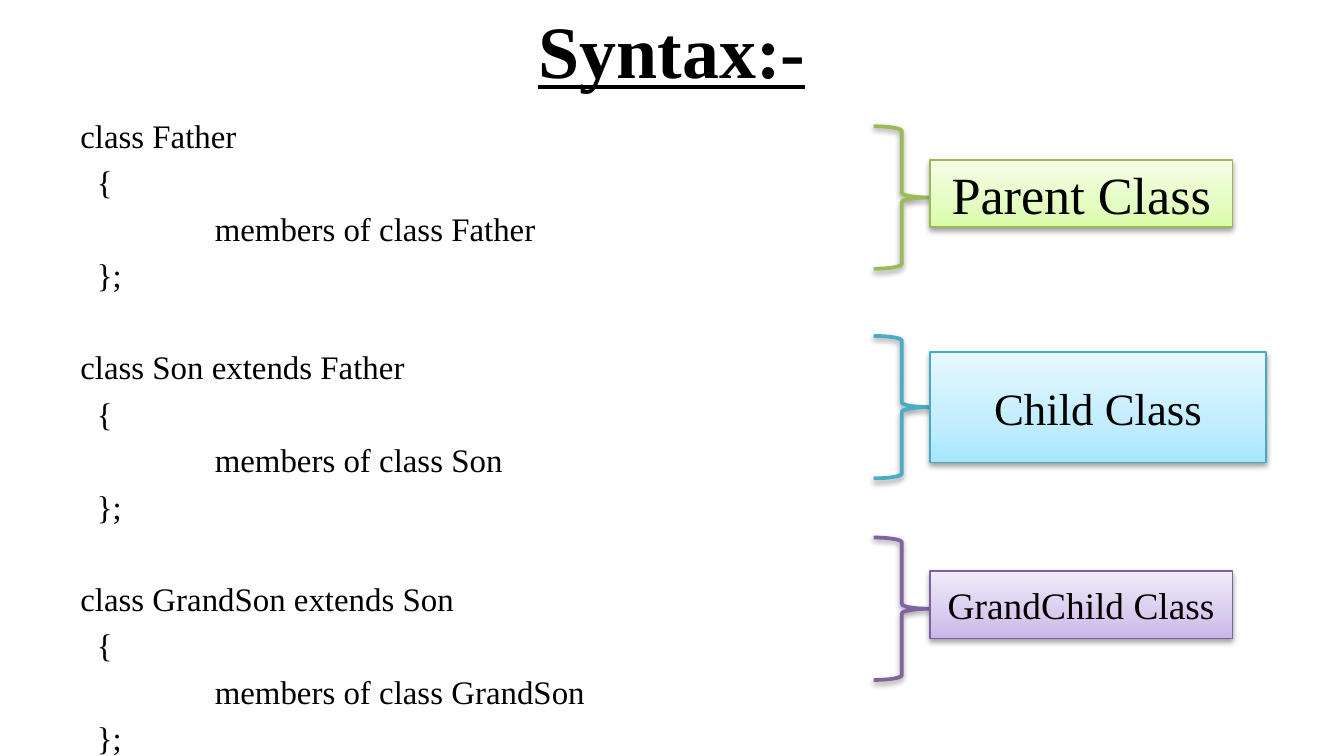
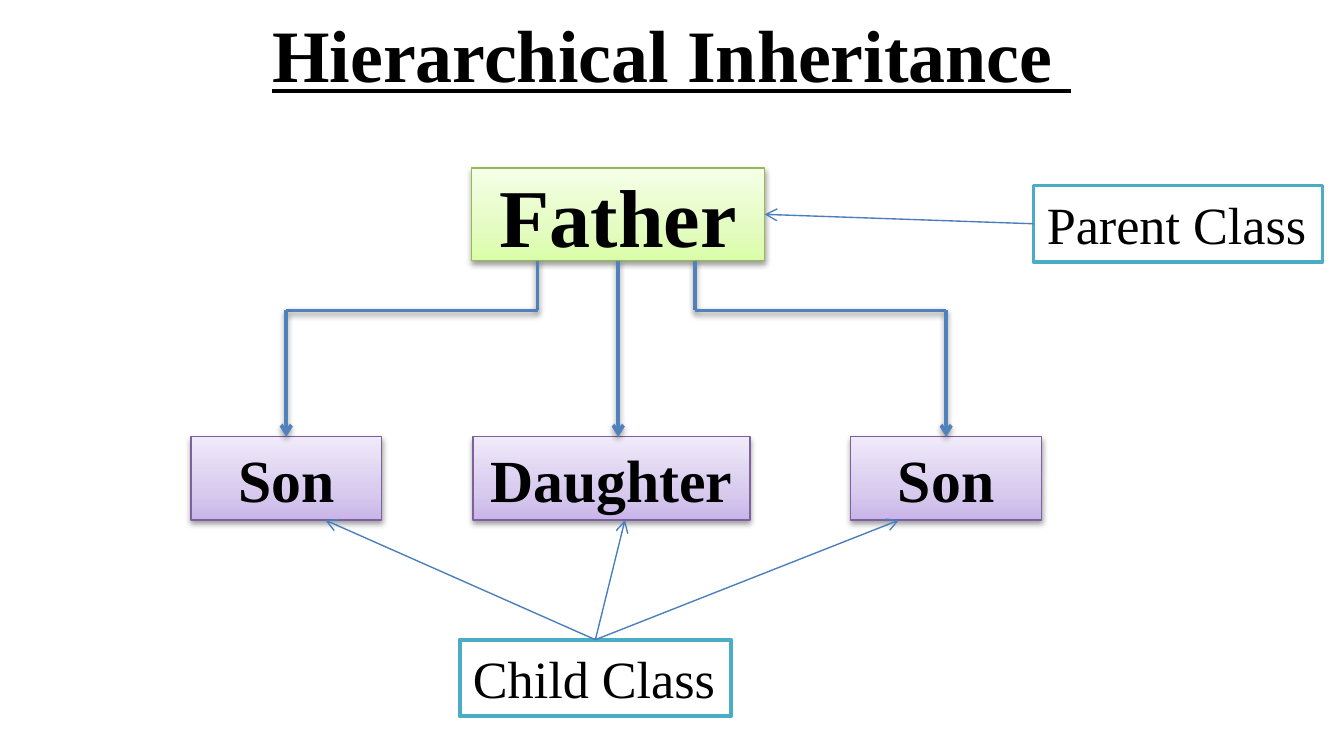
from pptx import Presentation
from pptx.dml.color import RGBColor
from pptx.enum.shapes import MSO_CONNECTOR, MSO_SHAPE
from pptx.enum.text import MSO_ANCHOR, MSO_AUTO_SIZE, PP_ALIGN
from pptx.oxml import parse_xml
from pptx.oxml.ns import nsdecls, qn
from pptx.util import Inches, Pt

BLACK = RGBColor(0x00, 0x00, 0x00)
WHITE = RGBColor(0xFF, 0xFF, 0xFF)
LIME = RGBColor(0x9B, 0xBB, 0x59)
AQUA = RGBColor(0x4B, 0xAC, 0xC6)
PLUM = RGBColor(0x80, 0x64, 0xA2)
BLUE = RGBColor(0x4F, 0x81, 0xBD)
STEEL = RGBColor(0x4B, 0x7E, 0xBC)

GREEN = (RGBColor(0x98, 0xB9, 0x55), "DAFDA7", "E4FCC2", "F5FFE7")
CYAN = (RGBColor(0x46, 0xAA, 0xC5), "A7E6FF", "C1EDFF", "E7F8FF")
VIOLET = (RGBColor(0x7D, 0x60, 0xA0), "C9B5E8", "D8CBEE", "F0EAF9")

SHADE = (
    '<a:outerShdw blurRad="40000" dist="20000" dir="5400000" rotWithShape="0">'
    '<a:srgbClr val="000000"><a:alpha val="38000"/></a:srgbClr></a:outerShdw>'
)


def node(tag, attrs="", inner=""):
    return parse_xml(f"<a:{tag} {nsdecls('a')} {attrs}>{inner}</a:{tag}>")


def write(frame, text, size=28, bold=False, under=False, align=PP_ALIGN.LEFT,
          anchor=MSO_ANCHOR.TOP, wrap=True, gap=0, block=0, tab=None):
    frame.word_wrap = wrap
    frame.vertical_anchor = anchor
    space = 0
    for num, line in enumerate(text.split("\n")):
        if not line:
            space = block
            continue
        para = frame.add_paragraph() if num else frame.paragraphs[0]
        if tab:
            stop = f'<a:tab pos="{Inches(tab)}" algn="l"/>'
            para._p.get_or_add_pPr().append(node("tabLst", "", stop))
        para.alignment = align
        if num:
            para.space_before = Pt(gap + space)
        space = 0
        run = para.add_run()
        run.text = line
        font = run.font
        font.name = "Times New Roman"
        font.size = Pt(size)
        font.bold = bold
        font.underline = under
        font.color.rgb = BLACK


class Deck:
    def __init__(self):
        self.show = Presentation()
        self.show.slide_width = Inches(10)
        self.show.slide_height = Inches(10 * 9 / 16)
        self.slide = None

    def start(self, title, high):
        self.slide = self.show.slides.add_slide(self.show.slide_layouts[6])
        self.note(title, (0.5, 0, 9, high), size=39.6, bold=True, under=True,
                  align=PP_ALIGN.CENTER, anchor=MSO_ANCHOR.MIDDLE)

    def note(self, text, area, **form):
        box = self.slide.shapes.add_textbox(*map(Inches, area))
        write(box.text_frame, text, **form)

    def trim(self, item, color, width, shade):
        item.line.color.rgb = color
        item.line.width = Pt(width)
        item._element.spPr.append(node("effectLst", "", SHADE if shade else ""))

    def shape(self, kind, area, color, width, shade=True):
        item = self.slide.shapes.add_shape(kind, *map(Inches, area))
        item.fill.background()
        self.trim(item, color, width, shade)
        return item

    def brace(self, top, color):
        self.shape(MSO_SHAPE.RIGHT_BRACE, (6.5, top, 0.42, 1.06), color, 2)

    def card(self, text, area, tone, size, bold=False):
        edge, *tints = tone
        item = self.shape(MSO_SHAPE.RECTANGLE, area, edge, 0.75)
        stops = "".join(
            f'<a:gs pos="{pos}"><a:srgbClr val="{tint}"/></a:gs>'
            for pos, tint in zip((0, 35000, 100000), tints))
        inner = f'<a:gsLst>{stops}</a:gsLst><a:lin ang="16200000" scaled="0"/>'
        props = item._element.spPr
        props.replace(props.find(qn("a:noFill")),
                      node("gradFill", 'rotWithShape="1"', inner))
        write(item.text_frame, text, size=size, bold=bold,
              align=PP_ALIGN.CENTER, anchor=MSO_ANCHOR.MIDDLE)
        return item

    def label(self, text, area):
        item = self.shape(MSO_SHAPE.RECTANGLE, area, AQUA, 2, shade=False)
        item.fill.solid()
        item.fill.fore_color.rgb = WHITE
        write(item.text_frame, text, wrap=False)
        item.text_frame.auto_size = MSO_AUTO_SIZE.SHAPE_TO_FIT_TEXT
        return item

    def link(self, start, end, color=BLUE, width=2, arrow=True, head=None, tail=None):
        item = self.slide.shapes.add_connector(
            MSO_CONNECTOR.STRAIGHT, *map(Inches, (*start, *end)))
        self.trim(item, color, width, color == BLUE)
        if head:
            item.begin_connect(*head)
        if tail:
            item.end_connect(*tail)
        if arrow:
            item.line._get_or_add_ln().append(node("tailEnd", 'type="arrow"'))


def syntax(deck):
    deck.start("Syntax:-", 0.73)
    heads = (("Father", ""), ("Son", " extends Father"), ("GrandSon", " extends Son"))
    code = "\n\n".join(
        f"class {name}{base}\n  {{\n \tmembers of class {name}\n  }};"
        for name, base in heads)
    deck.note(code, (0.5, 0.81, 9, 4.44), size=17.6, gap=3.75, block=24.64, tab=1)
    rows = (
        ("Parent Class", 0.94, LIME, (6.92, 1.19, 2.25, 0.5), GREEN, 28),
        ("Child Class", 2.5, AQUA, (6.92, 2.62, 2.5, 0.82), CYAN, 24),
        ("GrandChild Class", 4, PLUM, (6.92, 4.25, 2.25, 0.5), VIOLET, 20),
    )
    for text, top, color, area, tone, size in rows:
        deck.brace(top, color)
        deck.card(text, area, tone, size)


def family(deck):
    deck.start("Hierarchical Inheritance ", 0.79)
    father = deck.card("Father", (3.51, 1.25, 2.18, 0.69), GREEN, 44, True)
    kids = [
        deck.card(text, (left, 3.25, wide, 0.62), VIOLET, 32, True)
        for text, left, wide in (("Son", 1.42, 1.42), ("Daughter", 3.52, 2.06),
                                 ("Son", 6.33, 1.42))
    ]
    low, turn, top = 1.94, 2.31, 3.25
    deck.link((4.6, low), (4.6, top), head=(father, 2))
    for near, far, son in ((4, 2.13, kids[0]), (5.17, 7.04, kids[2])):
        deck.link((near, low), (near, turn), arrow=False)
        deck.link((near, turn), (far, turn), arrow=False)
        deck.link((far, turn), (far, top), tail=(son, 0))

    thin = {"color": STEEL, "width": 0.75}
    parent = deck.label("Parent Class", (7.69, 1.38, 2.15, 0.57))
    deck.link((7.69, 1.67), (5.69, 1.6), head=(parent, 1), tail=(father, 3), **thin)
    child = deck.label("Child Class", (3.42, 4.76, 2.02, 0.57))
    for left in (2.42, 6.69, 4.65):
        deck.link((4.43, 4.76), (left, 3.87), head=(child, 0), **thin)


def main():
    deck = Deck()
    syntax(deck)
    family(deck)
    deck.show.save("out.pptx")


if __name__ == "__main__":
    main()
